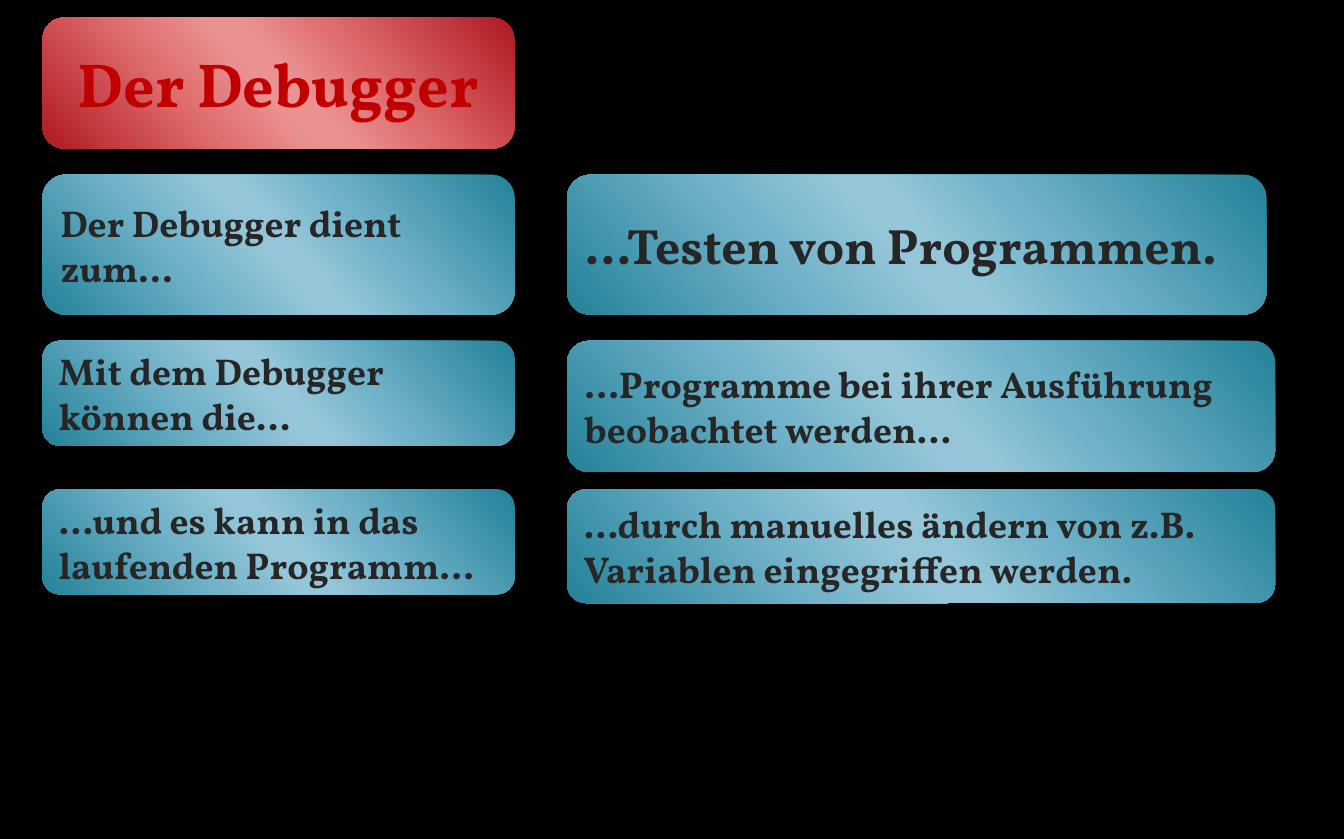
from lxml import etree
from pptx import Presentation
from pptx import util as u
from pptx.dml.color import RGBColor
from pptx.enum import shapes, text
from pptx.oxml.ns import qn


def tint(code):
    return RGBColor.from_string(code)


def blend(fill, stops):
    fill.gradient()
    fill.gradient_angle = 360 - 139
    node = fill.gradient_stops[0]._gs.getparent()
    for old in list(node):
        node.remove(old)
    for spot, code in stops:
        stop = etree.SubElement(node, qn("a:gs"), pos=str(spot * 1000))
        etree.SubElement(stop, qn("a:srgbClr"), val=code)


deck = Presentation()
deck.slide_width, deck.slide_height = u.Inches(12.01), u.Inches(7.5)
slide = deck.slides.add_slide(deck.slide_layouts[6])
slide.background.fill.solid()
slide.background.fill.fore_color.rgb = tint("000000")

unit = deck.slide_height / 96
edge = u.Inches(0.38)
marks = [0, 33, 47, 53, 68, 100]
red = list(zip(marks, ["AF1920", "DF6D6F", "EA9192", "EA9192", "E06F70", "AF1920"]))
blue = list(zip(marks, ["248299", "70B2C9", "94C5D8", "94C5D8", "72B3CA", "248299"]))
mid, left = text.PP_ALIGN.CENTER, text.PP_ALIGN.LEFT

title = {"size": u.Pt(40), "ink": "C00000", "align": mid, "stops": red}
body = {"size": u.Pt(24), "ink": "262626", "align": left, "stops": blue}
large = {**body, "size": u.Pt(32)}

cards = [
    (0, 2, 54, 15, title, "Der Debugger"),
    (0, 20, 54, 16, body, "Der Debugger dient zum..."),
    (0, 39, 54, 12, body, "Mit dem Debugger können die..."),
    (60, 20, 80, 16, large, "...Testen von Programmen."),
    (60, 39, 81, 15, body, "...Programme bei ihrer Ausführung beobachtet werden..."),
    (0, 56, 54, 12, body, "...und es kann in das laufenden Programm..."),
    (60, 56, 81, 13, body, "...durch manuelles ändern von z.B. Variablen eingegriffen werden."),
]

for col, row, wide, high, style, words in cards:
    card = slide.shapes.add_shape(
        shapes.MSO_SHAPE.ROUNDED_RECTANGLE,
        round(edge + col * unit), round(row * unit), round(wide * unit), round(high * unit))
    card.shadow.inherit = False
    card.line.fill.background()
    blend(card.fill, style["stops"])
    frame = card.text_frame
    frame.word_wrap = True
    frame.vertical_anchor = text.MSO_ANCHOR.MIDDLE
    para = frame.paragraphs[0]
    para.alignment = style["align"]
    run = para.add_run()
    run.text = words
    for name, value in {"name": "Vollkorn", "size": style["size"], "bold": True}.items():
        setattr(run.font, name, value)
    run.font.color.rgb = tint(style["ink"])

deck.save("out.pptx")
